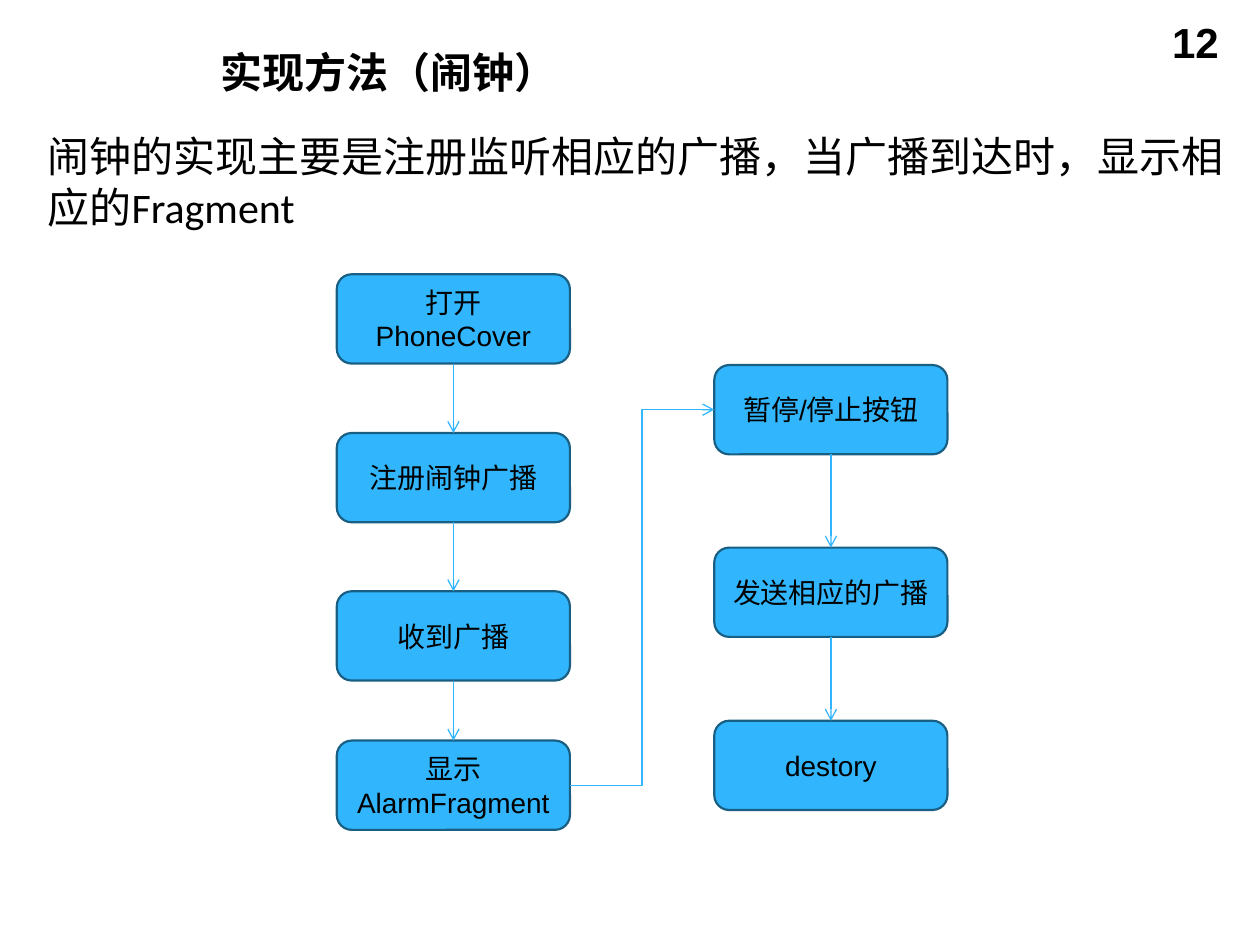
from dataclasses import dataclass

from lxml import etree
from pptx import Presentation
from pptx.dml.color import RGBColor
from pptx.enum.shapes import MSO_CONNECTOR as Connector, MSO_SHAPE as Shape
from pptx.enum.text import MSO_ANCHOR as Anchor, PP_ALIGN as Align
from pptx.oxml.ns import qn
from pptx.shapes.autoshape import Shape as AutoShape
from pptx.slide import Slide
from pptx.util import Cm, Pt

BLACK = RGBColor(0x00, 0x00, 0x00)
SKY = RGBColor(0x31, 0xB6, 0xFD)
NAVY = RGBColor(0x19, 0x5F, 0x84)

STEP_WIDTH, STEP_HEIGHT = 4.7, 1.8
TOP, LEFT, BOTTOM, RIGHT = range(4)


@dataclass(frozen=True)
class Caption:
    text: str
    left: float
    top: float
    width: float
    height: float
    font: str = "Calibri"
    bold: bool = False
    align: Align = Align.LEFT
    anchor: Anchor = Anchor.TOP


@dataclass(frozen=True)
class Step:
    text: str
    top: float


@dataclass(frozen=True)
class Column:
    left: float
    steps: tuple[Step, ...]


CAPTIONS = (
    Caption("12", 18.9, 0.2, 5.92, 1.32, font="Arial", bold=True, align=Align.RIGHT),
    Caption("实现方法（闹钟）", 4.19, 0.76, 19.94, 1.37, bold=True, anchor=Anchor.MIDDLE),
    Caption("闹钟的实现主要是注册监听相应的广播，当广播到达时，显示相应的Fragment",
            0.71, 2.51, 24.21, 2.31),
)

ALARM_COLUMN = Column(6.79, (
    Step("打开PhoneCover", 5.53),
    Step("注册闹钟广播", 8.73),
    Step("收到广播", 11.92),
    Step("显示AlarmFragment", 14.93),
))
BUTTON_COLUMN = Column(14.4, (
    Step("暂停/停止按钮", 7.36),
    Step("发送相应的广播", 11.04),
    Step("destory", 14.53),
))


def write(shape: AutoShape, text: str, size: int, font: str, bold: bool,
          align: Align, anchor: Anchor) -> None:
    frame = shape.text_frame
    frame.word_wrap = True
    frame.vertical_anchor = anchor
    frame.text = text
    paragraph = frame.paragraphs[0]
    paragraph.alignment = align
    paragraph.font.size = Pt(size)
    paragraph.font.name = font
    paragraph.font.bold = bold
    paragraph.font.color.rgb = BLACK


def add_caption(slide: Slide, caption: Caption) -> None:
    box = slide.shapes.add_textbox(Cm(caption.left), Cm(caption.top),
                                   Cm(caption.width), Cm(caption.height))
    write(box, caption.text, 24, caption.font, caption.bold, caption.align, caption.anchor)


def add_step(slide: Slide, step: Step, left: float) -> AutoShape:
    box = slide.shapes.add_shape(Shape.ROUNDED_RECTANGLE, Cm(left), Cm(step.top),
                                 Cm(STEP_WIDTH), Cm(STEP_HEIGHT))
    box.shadow.inherit = False
    box.fill.solid()
    box.fill.fore_color.rgb = SKY
    box.line.color.rgb = NAVY
    box.line.width = Pt(1.25)
    write(box, step.text, 16, "Arial", False, Align.CENTER, Anchor.MIDDLE)
    return box


def add_arrow(slide: Slide, kind: Connector, source: AutoShape, source_side: int,
              target: AutoShape, target_side: int) -> None:
    arrow = slide.shapes.add_connector(kind, 0, 0, 0, 0)
    arrow.begin_connect(source, source_side)
    arrow.end_connect(target, target_side)
    arrow.line.color.rgb = SKY
    arrow.line.width = Pt(0.75)
    properties = arrow.element.spPr
    etree.SubElement(properties.find(qn("a:ln")), qn("a:tailEnd"), type="arrow")
    etree.SubElement(properties, qn("a:effectLst"))


def add_column(slide: Slide, column: Column) -> list[AutoShape]:
    """Draw the steps of a column, each with an arrow down to the next."""
    boxes = [add_step(slide, step, column.left) for step in column.steps]
    for upper, lower in zip(boxes, boxes[1:]):
        add_arrow(slide, Connector.STRAIGHT, upper, BOTTOM, lower, TOP)
    return boxes


def main() -> None:
    deck = Presentation()
    deck.slide_width, deck.slide_height = Cm(25.4), Cm(19.05)
    slide = deck.slides.add_slide(deck.slide_layouts[6])

    for caption in CAPTIONS:
        add_caption(slide, caption)
    alarm_steps = add_column(slide, ALARM_COLUMN)
    button_steps = add_column(slide, BUTTON_COLUMN)
    add_arrow(slide, Connector.ELBOW, alarm_steps[-1], RIGHT, button_steps[0], LEFT)

    deck.save("out.pptx")


if __name__ == "__main__":
    main()
